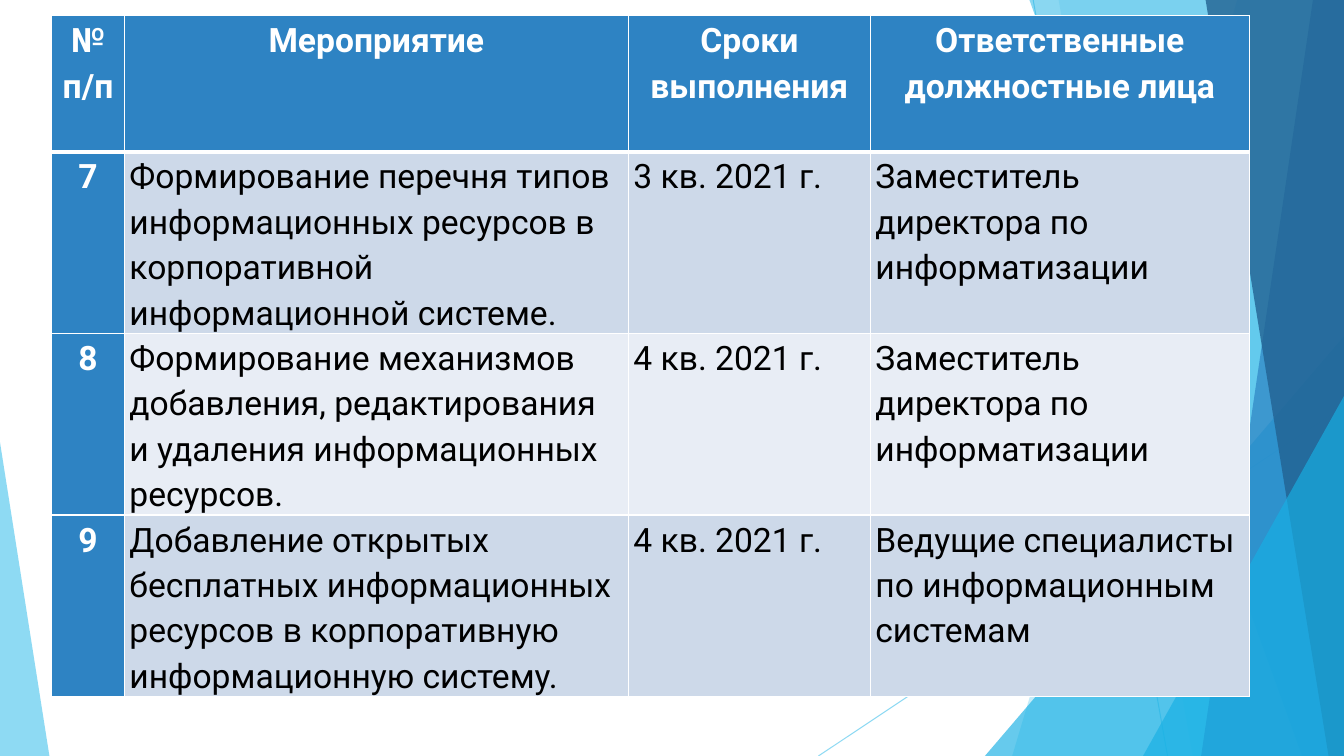
from dataclasses import dataclass

from lxml.etree import SubElement
from pptx import Presentation
from pptx.dml.color import RGBColor
from pptx.enum.shapes import MSO_CONNECTOR as Connector, MSO_SHAPE as Preset
from pptx.enum.text import MSO_ANCHOR as Anchor, PP_ALIGN as Align
from pptx.oxml import parse_xml
from pptx.oxml.ns import nsdecls, qn
from pptx.util import Pt

WIDTH, HEIGHT = 960, 540
BLEED_TOP = -0.72


@dataclass(frozen=True)
class Theme:
    font: str = "Roboto"
    text_size: int = 24
    line_spacing: float = 1.15
    space_after: int = 10
    white: str = "FFFFFF"
    black: str = "000000"
    blue: str = "2E83C3"
    navy: str = "226292"
    sky: str = "5FCBEF"
    azure: str = "17B0E4"
    odd_row: str = "CDD9E9"
    even_row: str = "E8EDF5"


def set_values(target, values):
    for name, value in values.items():
        setattr(target, name, value)


class SlideBuilder:
    def __init__(self, slide, theme):
        self.slide = slide
        self.theme = theme

    def set_alpha(self, element, percent):
        """Make the first solid colour inside the element partly transparent."""
        color = next(element.iter(qn("a:srgbClr")))
        SubElement(color, qn("a:alpha")).set("val", str(percent * 1000))

    def paint(self, shape, color, alpha):
        shape.shadow.inherit = False
        shape.line.fill.background()
        shape.fill.solid()
        shape.fill.fore_color.rgb = RGBColor.from_string(color)
        self.set_alpha(shape._element.spPr, alpha)

    def add_line(self, start, end, color, alpha):
        line = self.slide.shapes.add_connector(
            Connector.STRAIGHT, *map(Pt, (*start, *end)))
        line.line.width = Pt(0.75)
        line.line.color.rgb = RGBColor.from_string(color)
        properties = line._element.spPr
        self.set_alpha(properties, alpha)
        SubElement(properties, qn("a:effectLst"))

    def add_band(self, top_left, bottom_left, color, alpha):
        """Fill the slide's right side up to a slanted left edge."""
        builder = self.slide.shapes.build_freeform(top_left, BLEED_TOP, scale=Pt(1))
        builder.add_line_segments(
            [(WIDTH, BLEED_TOP), (WIDTH, HEIGHT), (bottom_left, HEIGHT)], close=True)
        self.paint(builder.convert_to_shape(), color, alpha)

    def add_triangle(self, left, top, width, apex, color, alpha):
        """Stand a triangle on the slide's bottom edge; apex runs from 0 to 1."""
        triangle = self.slide.shapes.add_shape(
            Preset.ISOSCELES_TRIANGLE, *map(Pt, (left, top, width, HEIGHT - top)))
        triangle.adjustments[0] = apex
        self.paint(triangle, color, alpha)

    def set_borders(self, cell, widths):
        properties = cell._tc.get_or_add_tcPr()
        for index, (side, width) in enumerate(widths.items()):
            properties.insert(index, parse_xml(
                f'<a:ln{side} {nsdecls("a")} w="{Pt(width)}"><a:solidFill>'
                f'<a:srgbClr val="{self.theme.white}"/></a:solidFill></a:ln{side}>'))

    def fill_cell(self, cell, text, fill, is_heading, inset):
        theme = self.theme
        set_values(cell, {
            "text": text, "vertical_anchor": Anchor.TOP,
            "margin_left": Pt(inset), "margin_right": Pt(inset),
            "margin_top": 0, "margin_bottom": 0})
        cell.fill.solid()
        cell.fill.fore_color.rgb = RGBColor.from_string(fill)
        paragraph = cell.text_frame.paragraphs[0]
        set_values(paragraph, {
            "alignment": Align.CENTER if is_heading else Align.LEFT,
            "line_spacing": theme.line_spacing,
            "space_after": Pt(theme.space_after)})
        font = paragraph.runs[0].font
        set_values(font, {
            "name": theme.font, "size": Pt(theme.text_size), "bold": is_heading})
        font.color.rgb = RGBColor.from_string(
            theme.white if is_heading else theme.black)

    def add_plan_table(self, left, top, column_widths, row_heights, rows):
        theme = self.theme
        table = self.slide.shapes.add_table(
            len(rows), len(column_widths), Pt(left), Pt(top),
            Pt(sum(column_widths)), Pt(sum(row_heights))).table
        for column, width in zip(table.columns, column_widths):
            column.width = Pt(width)
        for row, height in zip(table.rows, row_heights):
            row.height = Pt(height)
        for row_index, texts in enumerate(rows):
            row_fill = theme.odd_row if row_index % 2 else theme.even_row
            borders = {"L": 1, "R": 1, "T": 3 if row_index == 1 else 1,
                       "B": 3 if row_index == 0 else 1}
            for column_index, text in enumerate(texts):
                is_heading = row_index == 0 or column_index == 0
                cell = table.cell(row_index, column_index)
                self.fill_cell(cell, text, theme.blue if is_heading else row_fill,
                               is_heading, 3.6 if row_index else 4.3)
                self.set_borders(cell, borders)


PLAN = [
    ("№ п/п", "Мероприятие", "Сроки выполнения", "Ответственные должностные лица"),
    ("7", "Формирование перечня типов информационных ресурсов в корпоративной "
          "информационной системе.",
     "3 кв. 2021 г.", "Заместитель директора по информатизации"),
    ("8", "Формирование механизмов добавления, редактирования и удаления "
          "информационных ресурсов.",
     "4 кв. 2021 г.", "Заместитель директора по информатизации"),
    ("9", "Добавление открытых бесплатных информационных ресурсов в корпоративную "
          "информационную систему.",
     "4 кв. 2021 г.", "Ведущие специалисты по информационным системам"),
]


def main():
    presentation = Presentation()
    set_values(presentation, {"slide_width": Pt(WIDTH), "slide_height": Pt(HEIGHT)})
    slide = presentation.slides.add_slide(presentation.slide_layouts[6])
    theme = Theme()
    builder = SlideBuilder(slide, theme)

    builder.add_line((738, 0), (834, HEIGHT), theme.sky, 70)
    builder.add_line((WIDTH, 290), (584.6, HEIGHT), theme.sky, 70)
    builder.add_band(884, 723, theme.sky, 36)
    builder.add_band(756, 852, theme.sky, 20)
    builder.add_triangle(703.5, 240, 256.5, 1, theme.azure, 66)
    builder.add_band(735, 929.5, theme.azure, 50)
    builder.add_band(938, 858, theme.blue, 70)
    builder.add_band(861, 949, theme.navy, 80)
    builder.add_triangle(816.5, 283, 143.5, 1, theme.azure, 66)
    builder.add_triangle(0, 316, 35.3, 0, theme.sky, 70)
    builder.add_plan_table(36.9, 11.2, (52, 360, 172.8, 270.7),
                           (97.2, 97.2, 97.2, 110.9), PLAN)
    presentation.save("out.pptx")


if __name__ == "__main__":
    main()
